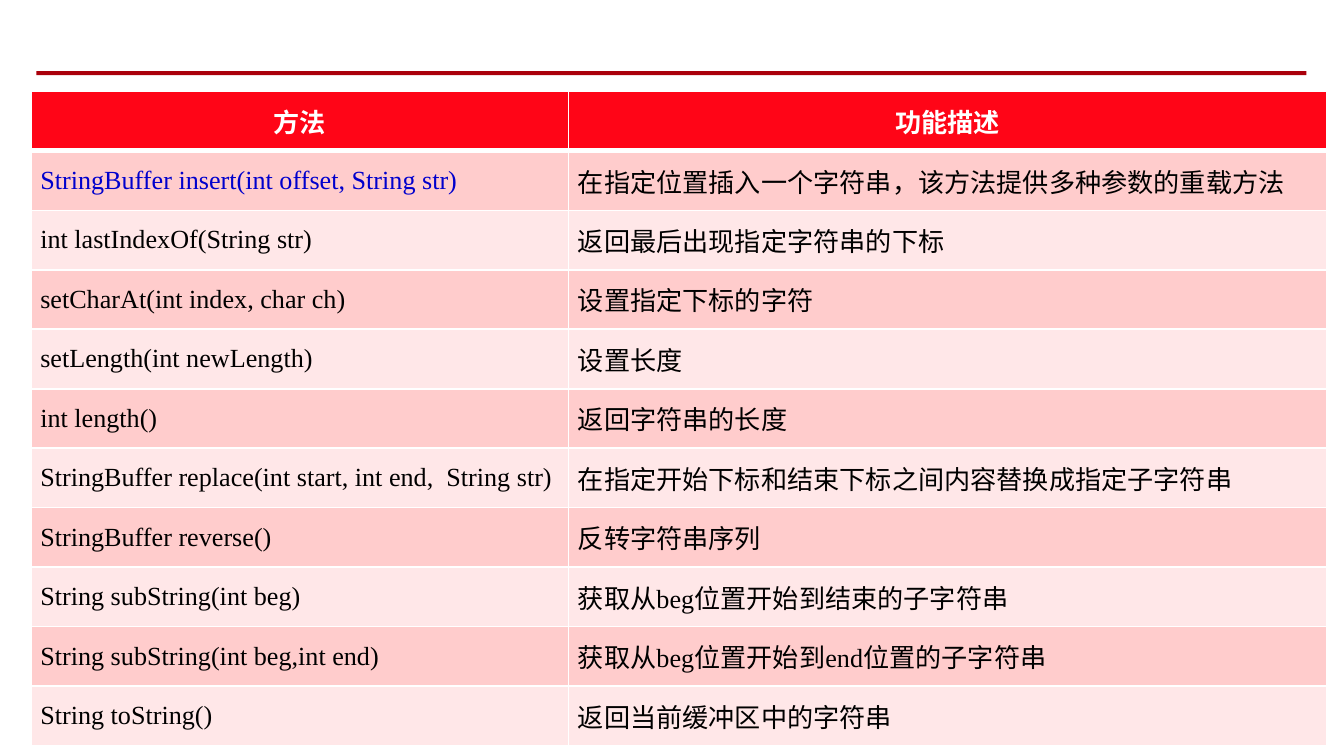
import pptx
import pptx.util
import pptx.dml.color
import pptx.enum.shapes
import pptx.enum.text
from lxml import etree

HEADINGS = ("方法", "功能描述")
METHODS = [
    ("StringBuffer insert(int offset, String str)", "在指定位置插入一个字符串，该方法提供多种参数的重载方法"),
    ("int lastIndexOf(String str)", "返回最后出现指定字符串的下标"),
    ("setCharAt(int index, char ch)", "设置指定下标的字符"),
    ("setLength(int newLength)", "设置长度"),
    ("int length()", "返回字符串的长度"),
    ("StringBuffer replace(int start, int end,  String str)", "在指定开始下标和结束下标之间内容替换成指定子字符串"),
    ("StringBuffer reverse()", "反转字符串序列"),
    ("String subString(int beg)", "获取从beg位置开始到结束的子字符串"),
    ("String subString(int beg,int end)", "获取从beg位置开始到end位置的子字符串"),
    ("String toString()", "返回当前缓冲区中的字符串"),
]
HIGHLIGHTED = METHODS[0][0]
BANDS = ("FFCCCC", "FFE7E8")
COLUMN_WIDTHS = (4, 5.64)
TABLE_HEIGHT = 4.87
SLIDE_WIDTH = 10

inches = pptx.util.Inches


def color(value):
    return pptx.dml.color.RGBColor.from_string(value)


def add_borders(cell, bottom_width):
    properties = cell._tc.get_or_add_tcPr()
    namespace = "{%s}" % properties.nsmap["a"]
    for side, width in (("L", 1), ("R", 1), ("T", 1), ("B", bottom_width)):
        line = etree.SubElement(properties, namespace + "ln" + side, w=str(pptx.util.Pt(width)))
        fill = etree.SubElement(line, namespace + "solidFill")
        etree.SubElement(fill, namespace + "srgbClr", val="FFFFFF")


def write_cell(cell, text, fill, ink, font_name, heading):
    add_borders(cell, 3 if heading else 1)
    cell.fill.solid()
    cell.fill.fore_color.rgb = color(fill)
    cell.vertical_anchor = pptx.enum.text.MSO_ANCHOR.MIDDLE
    cell.margin_left = cell.margin_right = inches(0.07)
    cell.margin_top = cell.margin_bottom = 0
    cell.text = text
    paragraph = cell.text_frame.paragraphs[0]
    if heading:
        paragraph.alignment = pptx.enum.text.PP_ALIGN.CENTER
    paragraph.font.size = pptx.util.Pt(14)
    paragraph.font.name = font_name
    paragraph.font.bold = heading
    paragraph.font.color.rgb = color(ink)


presentation = pptx.Presentation()
presentation.slide_width = inches(SLIDE_WIDTH)
presentation.slide_height = inches(SLIDE_WIDTH * 9 / 16)
slide = presentation.slides.add_slide(presentation.slide_layouts[6])

rule = slide.shapes.add_shape(
    pptx.enum.shapes.MSO_SHAPE.RECTANGLE, inches(0.27), inches(0.53), inches(9.45), inches(0.03))
rule.shadow.inherit = False
rule.fill.solid()
rule.fill.fore_color.rgb = color("AA000B")
rule.line.fill.background()

rows = [HEADINGS] + METHODS
methods_table = slide.shapes.add_table(
    len(rows), len(HEADINGS), inches(0.23), inches(0.68),
    inches(sum(COLUMN_WIDTHS)), inches(TABLE_HEIGHT)).table
for column, width in zip(methods_table.columns, COLUMN_WIDTHS):
    column.width = inches(width)

for row_index, row in enumerate(rows):
    heading = row_index == 0
    for column_index, text in enumerate(row):
        cell = methods_table.cell(row_index, column_index)
        if heading:
            write_cell(cell, text, "FF0517", "FFFFFF", "Calibri", True)
        else:
            ink = "0000CC" if text == HIGHLIGHTED else "000000"
            write_cell(cell, text, BANDS[(row_index - 1) % 2], ink, "Times New Roman", False)

presentation.save("out.pptx")
